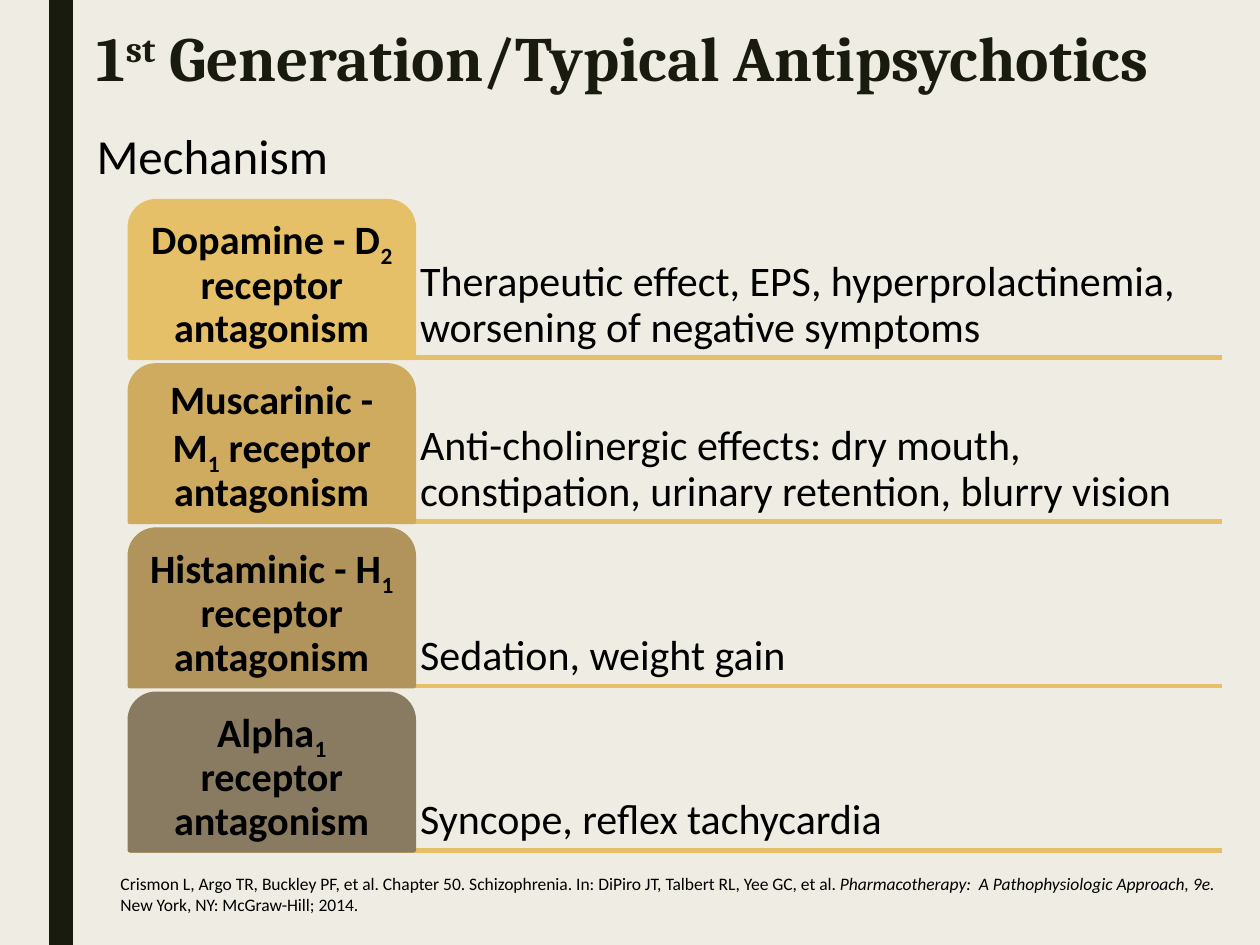
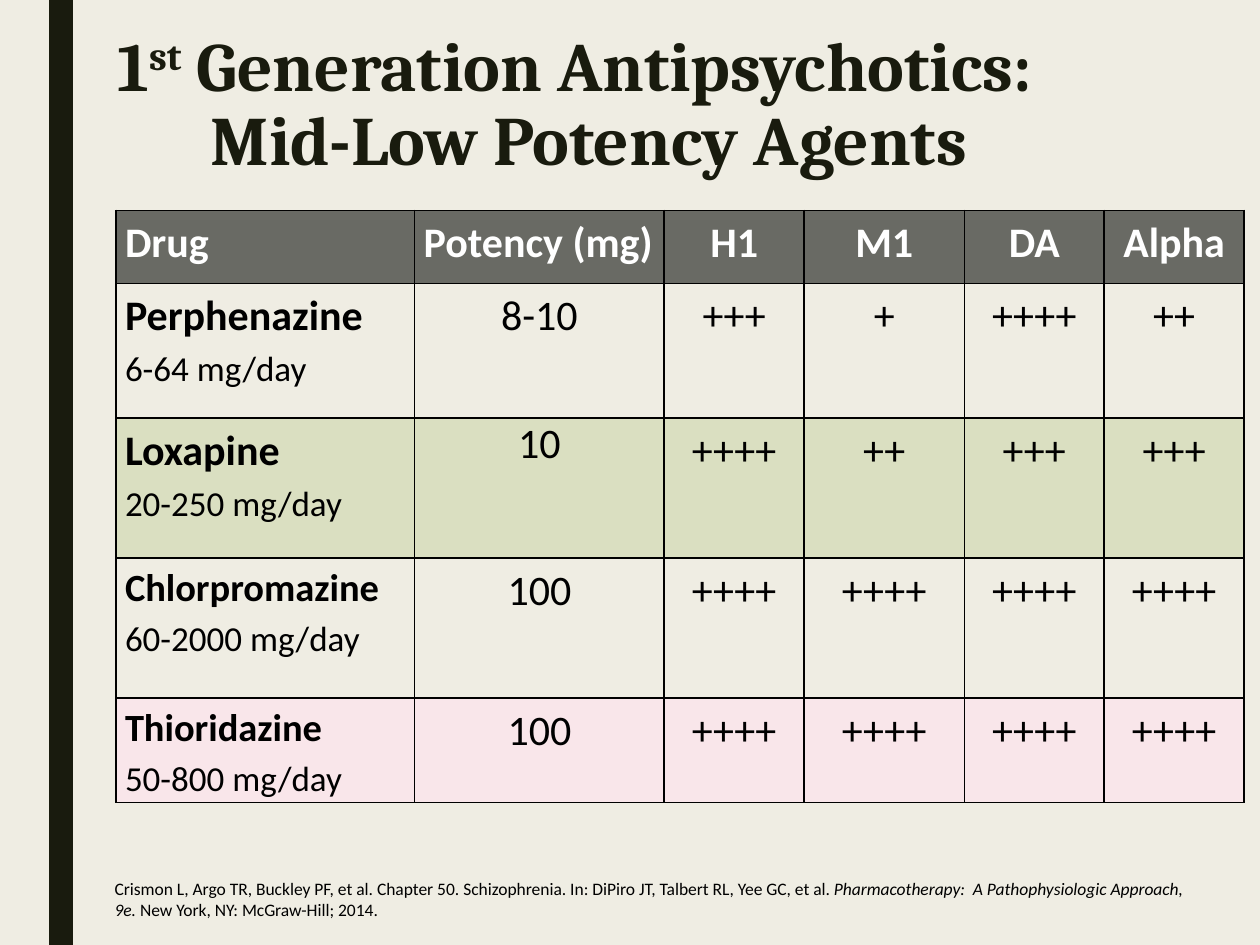
"""Build two slides on first-generation antipsychotics."""
from lxml import etree
from pptx import Presentation
from pptx.dml.color import RGBColor
from pptx.enum import shapes, text
from pptx.oxml import ns
from pptx.util import Cm, Pt

BACKGROUND = RGBColor(0xEF, 0xED, 0xE3)
DARK = RGBColor(0x19, 0x1B, 0x0E)
BLACK = RGBColor(0, 0, 0)
WHITE = RGBColor(0xFF, 0xFF, 0xFF)
GOLD = RGBColor(0xE6, 0xC0, 0x69)
OCHRE = RGBColor(0xCE, 0xAB, 0x5F)
BRONZE = RGBColor(0xB0, 0x94, 0x5B)
TAUPE = RGBColor(0x89, 0x7B, 0x61)
HEADER_GREY = RGBColor(0x69, 0x6A, 0x64)
PALE_GREEN = RGBColor(0xDA, 0xDF, 0xC1)
PALE_PINK = RGBColor(0xF9, 0xE6, 0xEA)

LEFT, CENTER = text.PP_ALIGN.LEFT, text.PP_ALIGN.CENTER
SUPER = {"baseline": "30000"}
SUB = {"baseline": "-25000"}
ITALIC = {"i": "1"}

CITATION = (
    "Crismon L, Argo TR, Buckley PF, et al. Chapter 50. Schizophrenia. "
    "In: DiPiro JT, Talbert RL, Yee GC, et al. ",
    ("Pharmacotherapy:  A Pathophysiologic Approach, 9e. ", ITALIC),
    "New York, NY: McGraw-Hill; 2014.",
)
MECHANISMS = [
    ("Dopamine - D", "2", GOLD,
     "Therapeutic effect, EPS, hyperprolactinemia, worsening of negative symptoms"),
    ("Muscarinic - M", "1", OCHRE,
     "Anti-cholinergic effects: dry mouth, constipation, urinary retention, blurry vision"),
    ("Histaminic - H", "1", BRONZE, "Sedation, weight gain"),
    ("Alpha", "1", TAUPE, "Syncope, reflex tachycardia"),
]
HEADERS = ["Drug", "Potency (mg)", "H1", "M1", "DA", "Alpha"]
AGENTS = [
    ("Perphenazine", 24, "6-64 mg/day", BACKGROUND, ["8-10", "+++", "+", "++++", "++"]),
    ("Loxapine", 24, "20-250 mg/day", PALE_GREEN, ["10", "++++", "++", "+++", "+++"]),
    ("Chlorpromazine", 22, "60-2000 mg/day", BACKGROUND, ["100"] + ["++++"] * 4),
    ("Thioridazine", 22, "50-800 mg/day", PALE_PINK, ["100"] + ["++++"] * 4),
]
COLUMN_WIDTHS = [6.02, 5.03, 2.82, 3.23, 2.82, 2.82]
ROW_HEIGHTS = [1.47, 2.72, 2.82, 2.82, 2.11]


def write(p, parts, size, color=BLACK, bold=False, name="Calibri", align=LEFT, spacing=1.0):
    """Fill a paragraph with runs; a part is a string or (string, run attributes)."""
    p.alignment, p.line_spacing = align, spacing
    p.font.name, p.font.size, p.font.bold = name, Pt(size), bold
    p.font.color.rgb = color
    for part in parts:
        content, attributes = (part, {}) if isinstance(part, str) else part
        r = p.add_run()
        r.text = content
        for key, value in attributes.items():
            r._r.get_or_add_rPr().set(key, value)


def set_insets(tf, inset):
    """Give a text frame the same inset on all sides."""
    tf.margin_left = tf.margin_right = tf.margin_top = tf.margin_bottom = Cm(inset)


def add_text(s, box, parts, size, wrap=True, spacing=1.0):
    """Add a text box and return its text frame."""
    tf = s.shapes.add_textbox(*map(Cm, box)).text_frame
    tf.word_wrap = wrap
    write(tf.paragraphs[0], parts, size, spacing=spacing)
    return tf


def add_filled(s, kind, box, color):
    """Add a preset shape with one colour for fill and line."""
    sp = s.shapes.add_shape(kind, *map(Cm, box))
    sp.shadow.inherit = False
    sp.fill.solid()
    sp.fill.fore_color.rgb = color
    sp.line.color.rgb = color
    return sp


def set_master(prs, s):
    """Set the shared background and move a side band to the master."""
    master = prs.slide_master
    master.background.fill.solid()
    master.background.fill.fore_color.rgb = BACKGROUND
    band = add_filled(s, shapes.MSO_SHAPE.RECTANGLE, (0.99, 0, 0.48, 19.05), DARK)
    band.line.fill.background()
    band.element.nvSpPr.cNvPr.set("id", "20")
    master.shapes.element.insert(2, band.element)


def set_title(s, box, lines, size):
    """Place the title and write one paragraph per line."""
    title = s.shapes.title
    title.left, title.top, title.width, title.height = map(Cm, box)
    tf = title.text_frame
    tf.word_wrap = True
    tf.auto_size = text.MSO_AUTO_SIZE.NONE
    tf.vertical_anchor = text.MSO_ANCHOR.TOP
    for i, parts in enumerate(lines):
        p = tf.add_paragraph() if i else tf.paragraphs[0]
        write(p, parts, size, DARK, True, "Cambria", spacing=0.89)
    return tf


def add_rule(s, left, right, y):
    """Add a horizontal gold line."""
    rule = s.shapes.add_connector(
        shapes.MSO_CONNECTOR.STRAIGHT, Cm(left), Cm(y), Cm(right), Cm(y))
    rule.line.color.rgb = GOLD
    rule.line.width = Pt(2.75)
    etree.SubElement(rule.element.spPr, ns.qn("a:effectLst"))


def add_mechanism(s, top, receptor, index, color, effect):
    """Add a receptor tab, its effect and the line under both."""
    left, width, height, right = 2.62, 5.72, 3.15, 24.64
    add_rule(s, left, right, top + height)
    tf = add_text(s, (left + width, top, right - left - width, height), [effect], 24,
                  spacing=0.9)
    set_insets(tf, 0.13)
    tf.vertical_anchor = text.MSO_ANCHOR.BOTTOM
    tab = add_filled(s, shapes.MSO_SHAPE.ROUND_2_SAME_RECTANGLE,
                     (left, top, width, height), color)
    tab.line.width = Pt(2.75)
    tf = tab.text_frame
    tf.word_wrap = True
    tf.vertical_anchor = text.MSO_ANCHOR.MIDDLE
    set_insets(tf, 0.13)
    write(tf.paragraphs[0], [receptor, (index, SUB), " receptor antagonism"], 23,
          bold=True, align=CENTER, spacing=0.9)


def style_cell(cell, color):
    """Give a cell black borders, a fill and narrow margins."""
    tcPr = cell._tc.get_or_add_tcPr()
    for side in ("lnL", "lnR", "lnT", "lnB"):
        ln = etree.SubElement(tcPr, ns.qn("a:" + side), w=str(Pt(1)))
        fill = etree.SubElement(ln, ns.qn("a:solidFill"))
        etree.SubElement(fill, ns.qn("a:srgbClr"), val=str(BLACK))
    cell.fill.solid()
    cell.fill.fore_color.rgb = color
    cell.margin_left = cell.margin_right = Cm(0.18)
    cell.margin_top = cell.margin_bottom = 0


def add_agents_table(s, left, top):
    """Add the table of agents, potency and receptor affinity."""
    table = s.shapes.add_table(
        len(ROW_HEIGHTS), len(COLUMN_WIDTHS), Cm(left), Cm(top),
        Cm(sum(COLUMN_WIDTHS)), Cm(sum(ROW_HEIGHTS))).table
    table.horz_banding = False
    for column, width in zip(table.columns, COLUMN_WIDTHS):
        column.width = Cm(width)
    for row, height in zip(table.rows, ROW_HEIGHTS):
        row.height = Cm(height)
    for c, header in enumerate(HEADERS):
        cell = table.cell(0, c)
        style_cell(cell, HEADER_GREY)
        write(cell.text_frame.paragraphs[0], [header], 24, WHITE, True,
              align=CENTER if c > 1 else LEFT, spacing=1.15)
    for i, (agent, size, dose, color, values) in enumerate(AGENTS, 1):
        cell = table.cell(i, 0)
        style_cell(cell, color)
        write(cell.text_frame.paragraphs[0], [agent], size, bold=True, spacing=1.15)
        write(cell.text_frame.add_paragraph(), [dose], 20, spacing=1.15)
        for c, value in enumerate(values, 1):
            cell = table.cell(i, c)
            style_cell(cell, color)
            write(cell.text_frame.paragraphs[0], [value], 24, align=CENTER, spacing=1.15)
    return table


def main():
    """Build and save the slides."""
    prs = Presentation()
    prs.slide_width, prs.slide_height = Cm(25.4), Cm(19.05)
    title_only = prs.slide_layouts[5]

    s = prs.slides.add_slide(title_only)
    set_master(prs, s)
    set_title(s, (1.7, 0.43, 23.37, 2.31),
              [["1", ("st", SUPER), " Generation/Typical Antipsychotics"]], 36)
    for i, mechanism in enumerate(MECHANISMS):
        add_mechanism(s, 4.06 + 3.31 * i, *mechanism)
    add_text(s, (2.18, 17.48, 22.86, 1.12), CITATION, 10)
    add_text(s, (1.7, 2.41, 5.23, 1.45), ["Mechanism"], 28, wrap=False)

    s = prs.slides.add_slide(title_only)
    tf = set_title(s, (2.11, 0.53, 24.97, 3.18),
                   [["1", ("st", SUPER), " Generation Antipsychotics:"],
                    ["Mid-Low Potency Agents"]], 39.6)
    tf.paragraphs[1]._p.get_or_add_pPr().set("marL", str(Cm(1.88)))
    table = add_agents_table(s, 2.34, 4.24)
    table.cell(2, 1).text_frame.paragraphs[0].line_spacing = 1.0
    add_text(s, (2.06, 17.58, 22.45, 1.12), CITATION, 10)

    prs.save("out.pptx")


if __name__ == "__main__":
    main()
